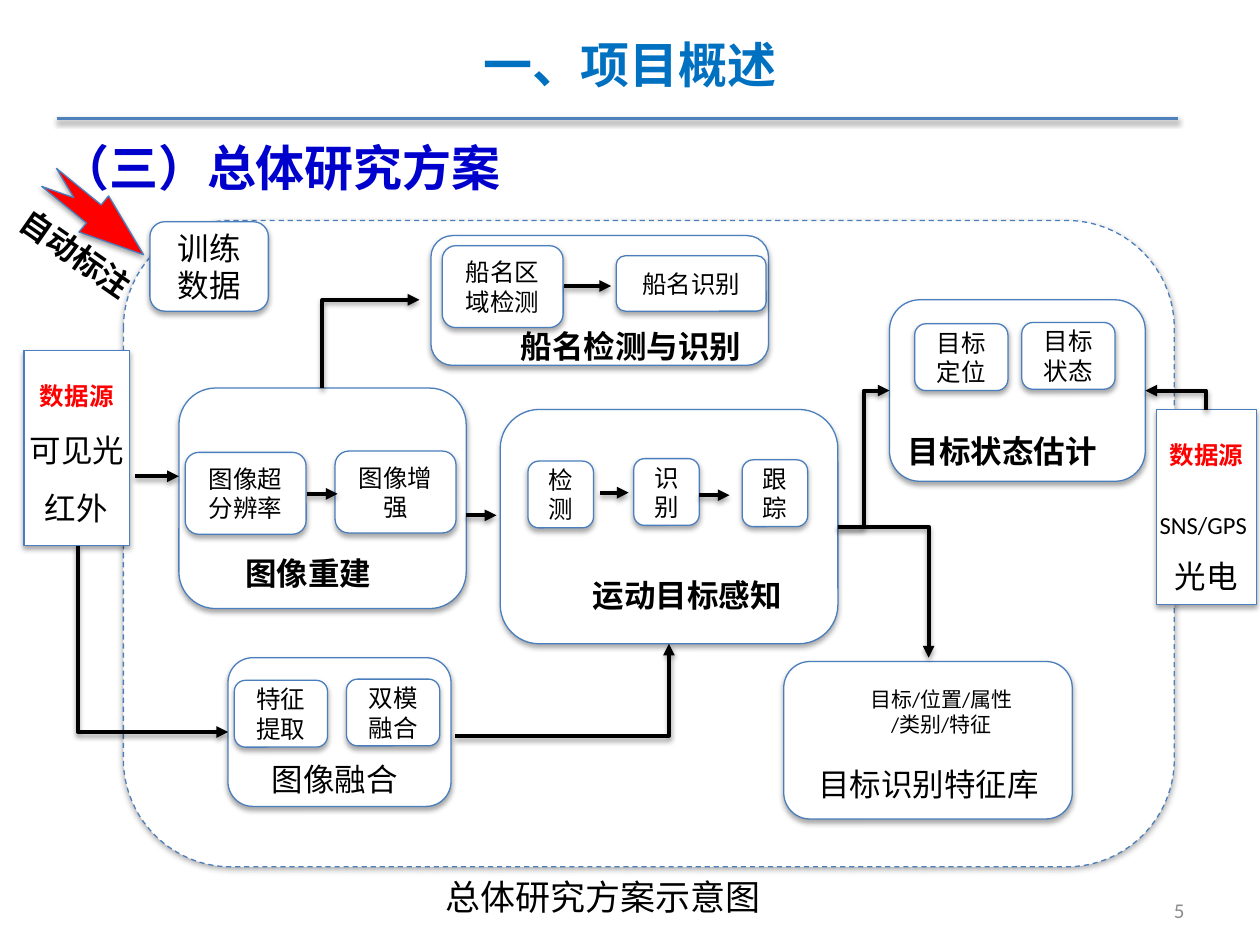
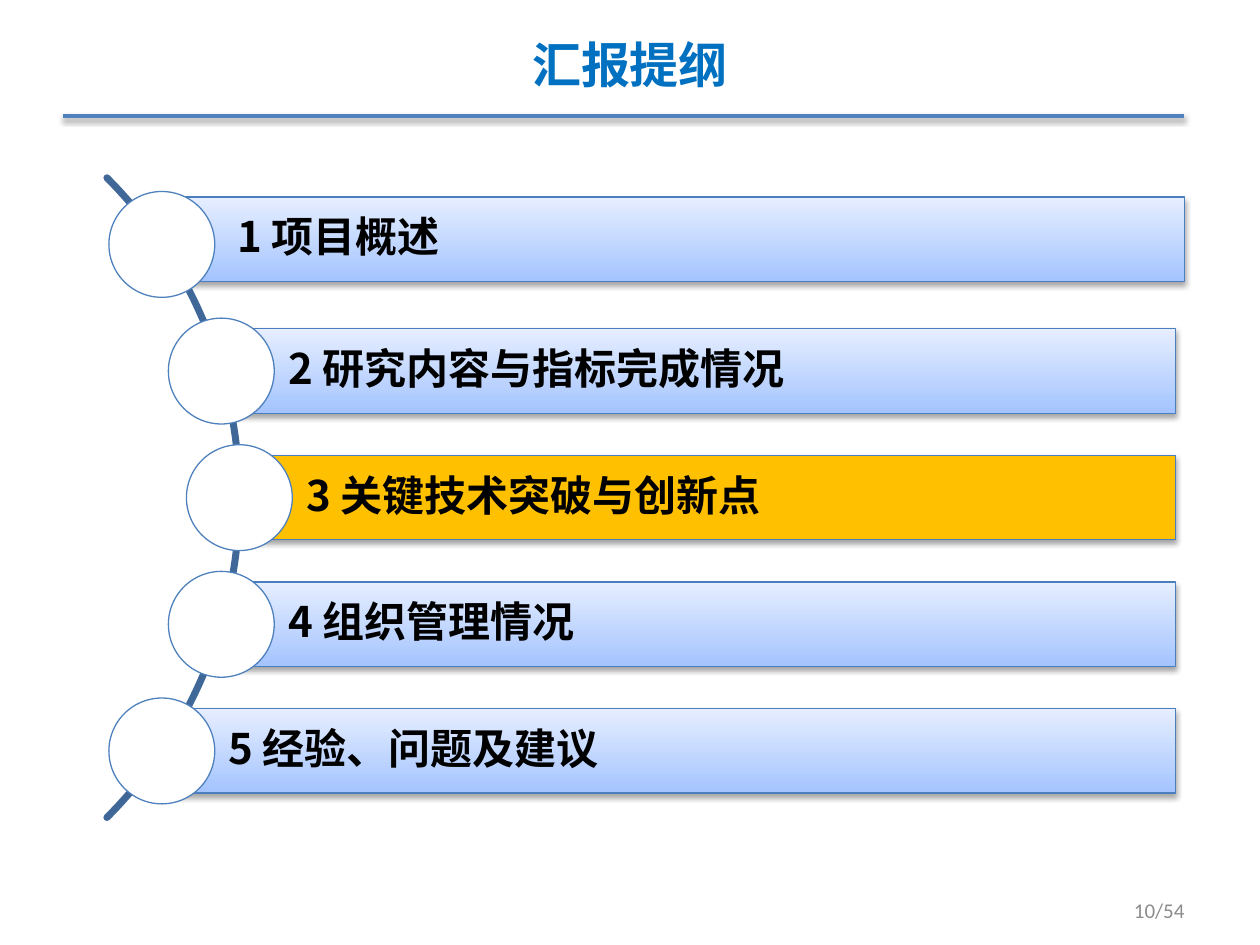
import math
from dataclasses import dataclass
from pptx import Presentation, util as u
from pptx.dml.color import RGBColor
from pptx.enum import dml, shapes, text
from pptx.oxml import parse_xml
from pptx.oxml.ns import qn, nsdecls

COLS, ROWS = 100, 75  # square cells that cover the slide
CELL = u.Inches(0.1)
KIND = shapes.MSO_SHAPE
ALIGN = text.PP_ALIGN


@dataclass(frozen=True)
class Theme:
    cjk: str = "Noto Sans CJK SC"
    latin: str = "Calibri"
    serif: str = "Times New Roman"
    black: str = "000000"
    white: str = "FFFFFF"
    title: str = "0070C0"
    heading: str = "0000CC"
    alert: str = "FF0000"
    muted: str = "8C8C8C"
    rule: str = "4F81BD"
    outline: str = "4B7EBC"
    arc: str = "3F6797"
    active: str = "FFC000"
    bar_low: str = "A4C4FF"
    bar_high: str = "E6EEFF"
    h1: int = 28
    item: int = 24
    caption: int = 20
    body: int = 18
    step: int = 14
    small: int = 12


T = Theme()


@dataclass(frozen=True)
class Box:
    """A rectangle in grid cells."""
    x: float
    y: float
    w: float
    h: float

    def sub(self, x, y, w, h):
        return Box(self.x + x, self.y + y, w, h)

    def emu(self):
        return [cells(v) for v in (self.x, self.y, self.w, self.h)]


def cells(n):
    return round(n * CELL)


def rgb(color):
    return RGBColor.from_string(color)


def add_shadow(sp, alpha=35):
    spPr = sp._element.spPr
    for old in spPr.findall(qn("a:effectLst")):
        spPr.remove(old)
    spPr.append(parse_xml(
        f'<a:effectLst {nsdecls("a")}><a:outerShdw blurRad="{u.Pt(3.1)}" dist="{u.Pt(1.8)}" '
        f'dir="5400000" rotWithShape="0"><a:srgbClr val="000000"><a:alpha val="{alpha * 1000}"/>'
        '</a:srgbClr></a:outerShdw></a:effectLst>'))


def write(sp, lines, size, color=T.black, bold=False, font=T.latin, align=ALIGN.CENTER,
          anchor=text.MSO_ANCHOR.MIDDLE, wrap=True):
    tf = sp.text_frame
    tf.text = lines
    tf.word_wrap = wrap
    tf.vertical_anchor = anchor
    for p in tf.paragraphs:
        p.alignment = align
        for r in p.runs:
            r.font.size, r.font.bold, r.font.name = u.Pt(size), bold, font
            r.font.color.rgb = rgb(color)
            r._r.get_or_add_rPr().find(qn("a:latin")).addnext(
                parse_xml(f'<a:ea {nsdecls("a")} typeface="{T.cjk}"/>'))
    return tf


def label(slide, box, lines, size=T.body, **style):
    sp = slide.shapes.add_textbox(*box.emu())
    style = {"anchor": text.MSO_ANCHOR.TOP, "wrap": False, **style}
    write(sp, lines, size, **style)
    return sp


def block(slide, box, kind=KIND.ROUNDED_RECTANGLE, fill=T.white, line=T.outline, shadow=True):
    sp = slide.shapes.add_shape(kind, *box.emu())
    sp.shadow.inherit = False
    sp.fill.solid()
    sp.fill.fore_color.rgb = rgb(fill)
    sp.line.color.rgb = rgb(line)
    sp.line.width = u.Pt(0.75)
    if shadow:
        add_shadow(sp)
    return sp


def connect(slide, start, end, kind=shapes.MSO_CONNECTOR.STRAIGHT, color=T.black, width=2.25,
            arrow="tailEnd"):
    c = slide.shapes.add_connector(kind, *map(cells, (*start, *end)))
    c.line.color.rgb = rgb(color)
    c.line.width = u.Pt(width)
    if arrow:
        c.line._get_or_add_ln().append(parse_xml(f'<a:{arrow} {nsdecls("a")} type="triangle"/>'))
    add_shadow(c, 38)
    return c


def corner(slide, start, end, across_first):
    """One-bend arrow; one that leaves vertically is drawn from its target back."""
    ends, arrow = ((start, end), "tailEnd") if across_first else ((end, start), "headEnd")
    c = connect(slide, *ends, kind=shapes.MSO_CONNECTOR.ELBOW, arrow=arrow)
    c._element.spPr.find(qn("a:prstGeom")).set("prst", "bentConnector2")


def slide_frame(prs, title, number, rule_x, rule_y):
    slide = prs.slides.add_slide(prs.slide_layouts[6])
    connect(slide, (rule_x, rule_y), (rule_x + 89, rule_y), color=T.rule, width=2, arrow=None)
    middle = {"anchor": text.MSO_ANCHOR.MIDDLE, "wrap": True}
    label(slide, Box(5, 2, COLS - 10, 6.1), title, T.h1, color=T.title, bold=True,
          font=T.cjk, **middle)
    label(slide, Box(71.7, 71, 23.3, 2.5), number, T.small, color=T.muted,
          align=ALIGN.RIGHT, **middle)
    return slide


def panel(slide, box, steps=(), links=()):
    """Rounded panel; steps and link ends are measured from its corner."""
    block(slide, box)
    for name, *place in steps:
        write(block(slide, box.sub(*place)), name, T.step)
    for x, y, length in links:
        connect(slide, (box.x + x, box.y + y), (box.x + x + length, box.y + y))


def panel_title(slide, box, name, x, y, bold=True):
    label(slide, box.sub(x, y, len(name) * 2.5 + 2.1, 4), name, bold=bold,
          font=T.cjk if bold else T.latin)


def data_source(slide, box, entries):
    tf = write(block(slide, box, KIND.RECTANGLE), "数据源", T.step, T.alert, True, T.cjk,
               anchor=text.MSO_ANCHOR.TOP)
    tf.margin_top = cells(2.4)
    for name, size, *place in entries:
        label(slide, box.sub(*place), name, size)


def training_input(slide, box):
    arrow = block(slide, box.sub(2.8, 0, 9.7, 3.7), KIND.NOTCHED_RIGHT_ARROW, T.alert)
    arrow.adjustments[1] = 1.38
    arrow.rotation = 39.3
    write(block(slide, box.sub(11.9, 2.3, 9.4, 7.1)), "训练\n数据".replace("\n", ""), T.body)
    note = label(slide, box.sub(0, 2.8, 12.1, 4), "自动标注", bold=True, font=T.cjk)
    note.rotation = 34.8


def scheme_slide(prs):
    slide = slide_frame(prs, "一、项目概述", "5", 4.5, 9.4)
    label(slide, Box(34.2, 69, 27.3, 4.4), "总体研究方案示意图", T.caption, font=T.cjk)
    label(slide, Box(3.8, 10.4, 38.1, 5.7), "（三）总体研究方案", T.h1, color=T.heading,
          bold=True, font=T.serif, align=ALIGN.LEFT)
    scope = block(slide, Box(9.8, 17.5, 83.4, 51.3))
    scope.line.dash_style = dml.MSO_LINE.DASH

    rebuild = Box(14.2, 30.8, 22.8, 17.5)
    panel(slide, rebuild, [("图像超分辨率", 0.5, 5.1, 9.6, 6.5), ("图像增强", 12.4, 5, 9.6, 6.5)],
          [(10.2, 8.4, 2.4)])
    panel_title(slide, rebuild, "图像重建", 4.2, 12.7)

    sensing = Box(39.7, 32.5, 26.8, 18.6)
    panel(slide, sensing, [("检测", 2.2, 4.1, 5.2, 5.3), ("识别", 10.6, 3.9, 5.2, 5.3),
                           ("跟踪", 19.2, 4, 5.2, 5.3)], [(7.9, 6.6, 2.3), (15.8, 6.8, 2.4)])
    panel_title(slide, sensing, "运动目标感知", 6.3, 12.7)

    naming = Box(34.2, 18.7, 26.8, 10.3)
    panel(slide, naming, [("船名区域检测", 0.9, 0.8, 9.6, 6.5), ("船名识别", 14.7, 1.6, 11.9, 4.4)],
          [(10.6, 4, 3.7)])
    panel_title(slide, naming, "船名检测与识别", 6.1, 6.8)

    state = Box(70.6, 23.8, 20.3, 14.4)
    panel(slide, state, [("目标定位", 2, 1.9, 7.4, 5.3), ("目标状态", 10.5, 1.8, 7.4, 5.3)])
    panel_title(slide, state, "目标状态估计", 0.4, 10)

    fusion = Box(18.1, 52.2, 17.7, 11.8)
    panel(slide, fusion, [("特征提取", 0.5, 1.8, 7.4, 5.3), ("双模融合", 9.4, 1.7, 7.4, 5.3)])
    panel_title(slide, fusion, "图像融合", 2.4, 7.6, bold=False)

    library = Box(62.2, 52.5, 22.9, 12.5)
    panel(slide, library)
    panel_title(slide, library, "目标识别特征库", 1.7, 7.7, bold=False)
    label(slide, library.sub(5.8, 1.5, 13.4, 5), "目标/位置/属性\n/类别/特征", T.small, wrap=True)

    training_input(slide, Box(0, 15.3, 21.3, 9.4))
    data_source(slide, Box(1.9, 27.8, 8.4, 15.5),
                [("可见光", T.body, -0.6, 5.9, 9.6, 4), ("红外", T.body, 0.6, 10.5, 7.1, 4)])
    data_source(slide, Box(91.8, 32.5, 7.9, 15.5),
                [("SNS/GPS", T.step, -0.8, 7.5, 9, 3.4), ("光电", T.body, 0.4, 11.2, 7.1, 4)])

    connect(slide, (10.7, 37.8), (14.2, 37.8))
    connect(slide, (37, 40.9), (39.4, 40.9))
    connect(slide, (66.5, 41.8), (70.6, 31), shapes.MSO_CONNECTOR.ELBOW)
    for start, end, across_first in [
            ((25.6, 30.8), (33.3, 23.8), False), ((95.7, 32.5), (90.9, 31), False),
            ((6.2, 43.3), (18.1, 58.1), False), ((36.1, 58.4), (53.1, 51.1), True),
            ((66.5, 41.8), (73.7, 52.2), True)]:
        corner(slide, start, end, across_first)


def arc_line(slide, cx, cy, radius):
    points = [(cells(cx + radius * math.cos(a)), cells(cy + radius * math.sin(a)))
              for a in (math.radians(d) for d in range(-45, 46))]
    fb = slide.shapes.build_freeform(*points[0])
    fb.add_line_segments(points[1:], close=False)
    sp = fb.convert_to_shape()
    sp.shadow.inherit = False
    sp.fill.background()
    sp.line.color.rgb = rgb(T.arc)
    sp.line.width = u.Pt(4)
    sp.line._get_or_add_ln().set("cap", "rnd")


def agenda_item(slide, box, name, active):
    bar = block(slide, box, KIND.RECTANGLE, T.active)
    if not active:
        bar.fill.gradient()
        bar.fill.gradient_angle = 90
        for stop, color in zip(bar.fill.gradient_stops, (T.bar_low, T.bar_high)):
            stop.color.rgb = rgb(color)
    tf = write(bar, name, T.item, bold=True, font=T.cjk, align=ALIGN.LEFT)
    tf.margin_left = cells(5.3)
    tf.paragraphs[0].line_spacing = 0.9
    tf.paragraphs[0].space_after = u.Pt(8.4)


def agenda_slide(prs, items, current):
    slide = slide_frame(prs, "汇报提纲", "10/54", 5, 9.2)
    cx, cy, radius, pitch = -16.9, 39.5, 35.9, 10.05
    bar_h, dot, right = 6.7, 8.4, 93.3
    arc_line(slide, cx, cy, radius)
    for i, name in enumerate(items):
        dy = (i - len(items) // 2) * pitch
        x, y = cx + math.sqrt(radius ** 2 - dy ** 2), cy + dy
        shift_x, shift_y = (0.7, -0.4) if i == 0 else (0, 0)
        bar = Box(x + shift_x, y - bar_h / 2 + shift_y, right - x, bar_h)
        agenda_item(slide, bar, f"{i + 1} {name}", i == current)
        block(slide, Box(x - dot / 2, y - dot / 2, dot, dot), KIND.OVAL, line=T.rule, shadow=False)


def main():
    prs = Presentation()
    prs.slide_width, prs.slide_height = COLS * CELL, ROWS * CELL
    scheme_slide(prs)
    agenda_slide(prs, ["项目概述", "研究内容与指标完成情况", "关键技术突破与创新点",
                       "组织管理情况", "经验、问题及建议"], current=2)
    prs.save("out.pptx")


if __name__ == "__main__":
    main()
